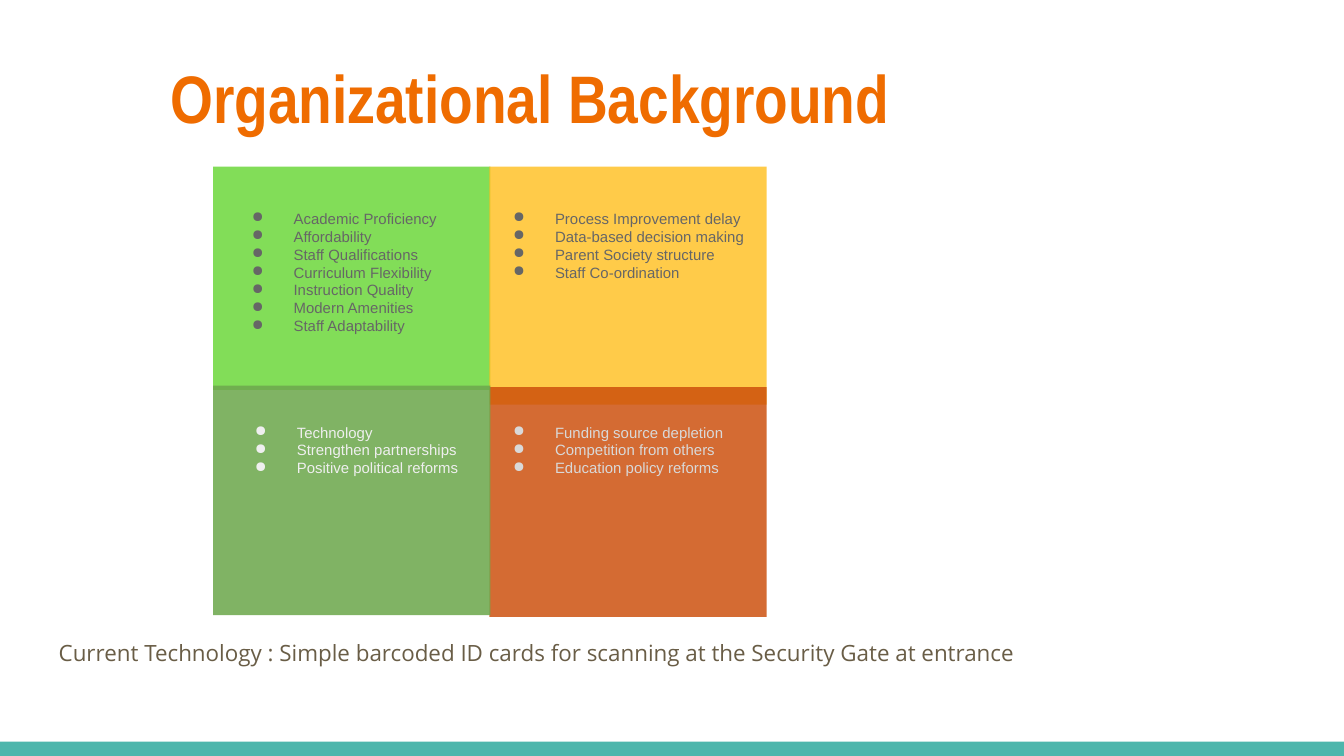
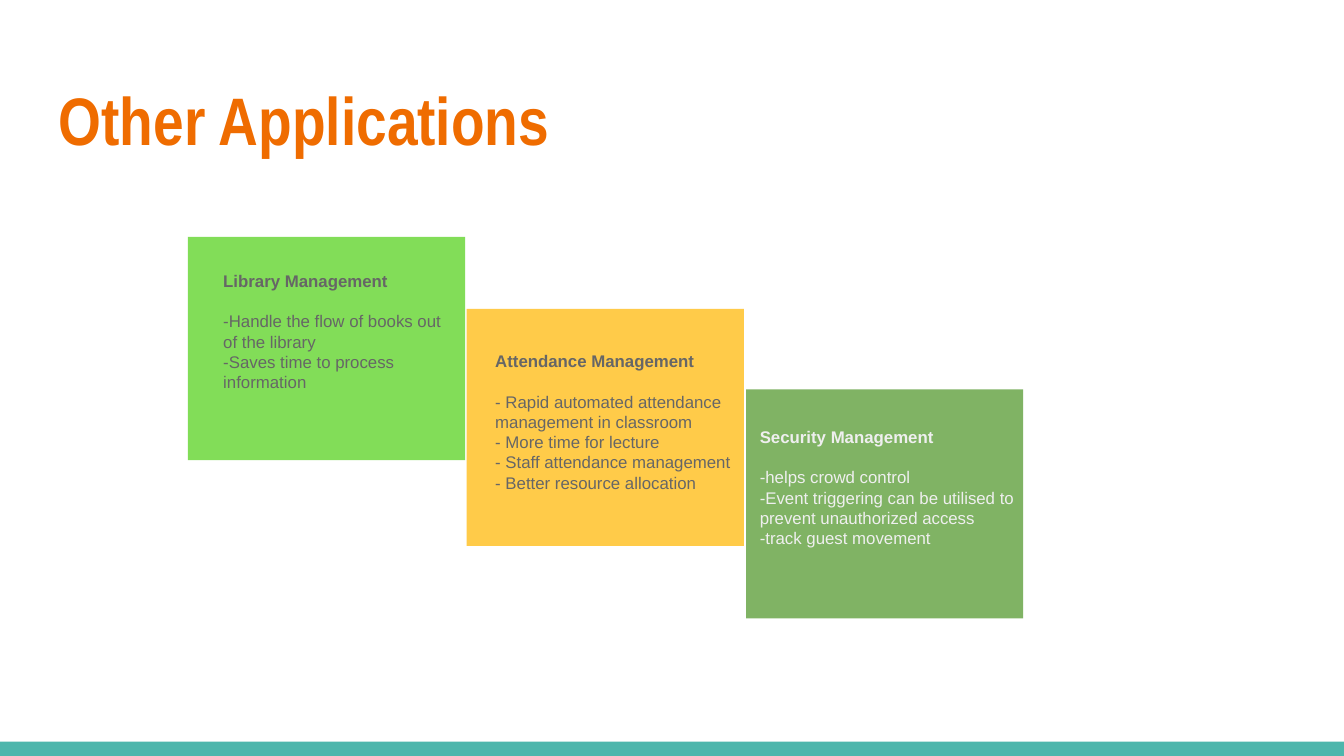
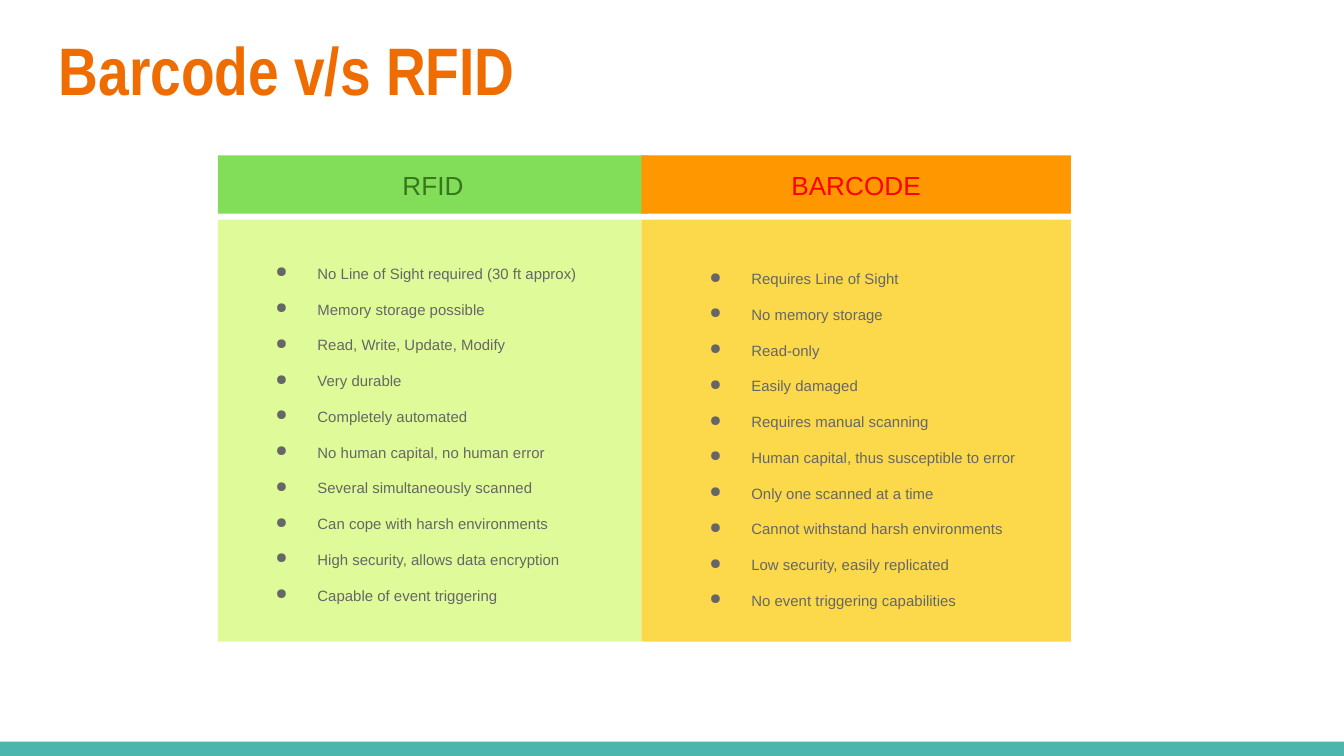
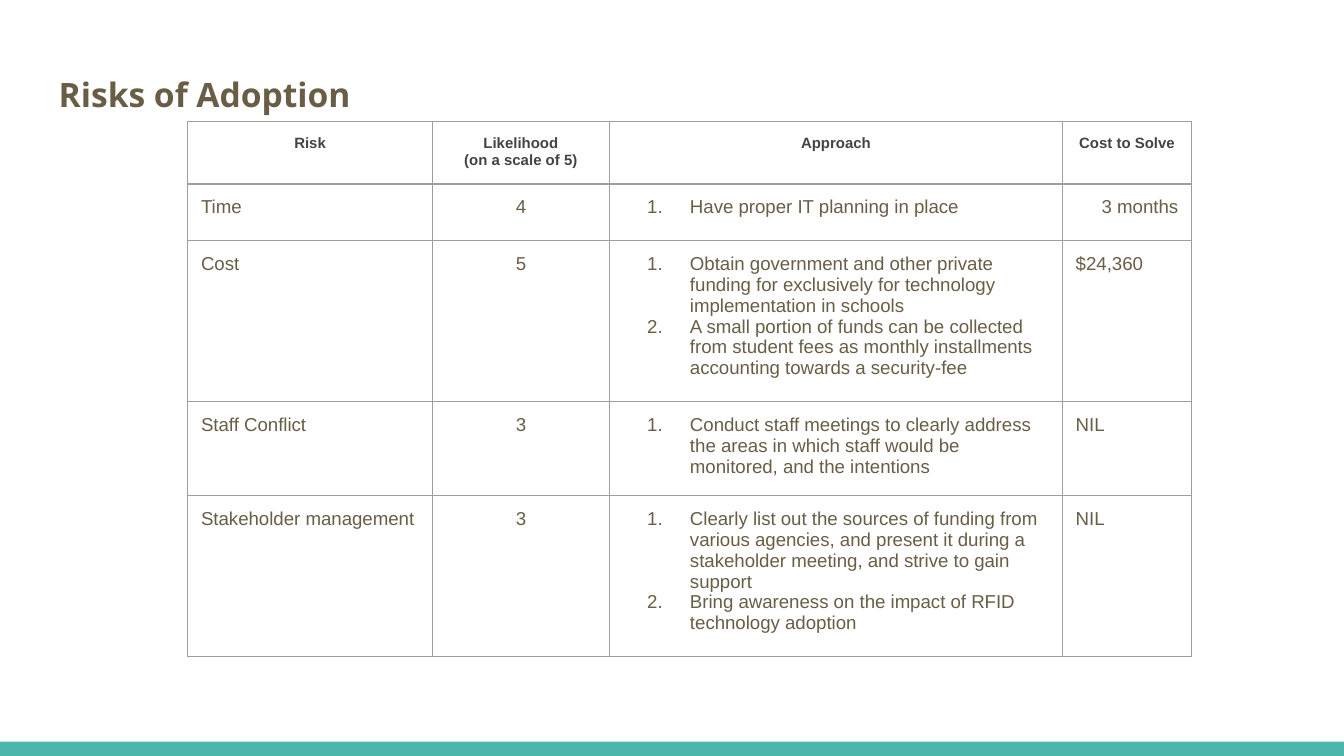
from lxml.etree import SubElement
from pptx import Presentation
from pptx.dml.color import RGBColor
from pptx.enum.shapes import MSO_SHAPE
from pptx.enum.text import MSO_ANCHOR, PP_ALIGN
from pptx.oxml.ns import qn
from pptx.util import Cm, Pt

HUES = {
    "teal": "4DB6AC", "title": "EF6C00", "brown": "695D46", "gray": "666666",
    "dark": "434343", "rule": "9E9E9E", "pale": "EFEFEF", "mist": "D9D9D9",
    "lime": "71D941", "gold": "FFBE1C", "rust": "CC4D0A", "moss": "6EA84E",
    "amber": "FF9800", "mint": "DFFA98", "corn": "FACA02",
    "pine": "38761D", "red": "FF0000",
}
ALPHA = {"lime": 88, "gold": 80, "rust": 83, "moss": 87, "corn": 71}
WIDE, HIGH = 25.4, 14.29
INSET = 0.25
LEFT, SPAN = 0.86, 23.67
SIDE = 5.24  # width of a coloured tile

# Tile: fill, (left, top, height); notes: (left, top, width), colour, lines
SWOT = [
    ("lime", (4.03, 3.15, 4.22), (4.03, 3.71, 4.8), "gray",
     ["Academic Proficiency", "Affordability", "Staff Qualifications",
      "Curriculum Flexibility", "Instruction Quality", "Modern Amenities",
      "Staff Adaptability"]),
    ("gold", (9.25, 3.15, 4.5), (8.97, 3.71, 5.61), "gray",
     ["Process Improvement delay", "Data-based decision making",
      "Parent Society structure", "Staff Co-ordination"]),
    ("rust", (9.25, 7.32, 4.34), (8.97, 7.75, 5.61), "mist",
     ["Funding source depletion", "Competition from others",
      "Education policy reforms"]),
    ("moss", (4.03, 7.29, 4.34), (4.09, 7.75, 5.61), "pale",
     ["Technology", "Strengthen partnerships", "Positive political reforms"]),
]
USES = [
    ("lime", (3.55, 4.48, 4.22), (3.97, 4.86, 4.8), "gray",
     ["Library Management", "-Handle the flow of books out of the library",
      "-Saves time to process information"]),
    ("gold", (8.82, 5.84, 4.48), (9.11, 6.38, 4.98), "gray",
     ["Attendance Management",
      "- Rapid automated attendance management in classroom",
      "- More time for lecture", "- Staff attendance management",
      "- Better resource allocation"]),
    ("moss", (14.1, 7.36, 4.33), (14.11, 7.81, 5.61), "pale",
     ["Security Management", "-helps crowd control",
      "-Event triggering can be utilised to prevent unauthorized access",
      "-track guest movement"]),
]
# Head: text, colour, fill, width; body: left, width, fill; list: left, top
SIDES = [
    ("RFID", "pine", "lime", 8.13, (4.12, 8.0, "mint"), (4.48, 4.41),
     ["No Line of Sight required (30 ft approx)", "Memory storage possible",
      "Read, Write, Update, Modify", "Very durable", "Completely automated",
      "No human capital, no human error", "Several simultaneously scanned",
      "Can cope with harsh environments",
      "High security, allows data encryption",
      "Capable of event triggering"]),
    ("BARCODE", "red", "amber", 8.12, (12.12, 8.12, "corn"), (12.68, 4.51),
     ["Requires Line of Sight", "No memory storage", "Read-only",
      "Easily damaged", "Requires manual scanning",
      "Human capital, thus susceptible to error",
      "Only one scanned at a time", "Cannot withstand harsh environments",
      "Low security, easily replicated", "No event triggering capabilities"]),
]
COLS = [4.62, 3.35, 8.56, 2.44]
HEADS = [["Risk"], ["Likelihood", "(on a scale of 5)"], ["Approach"],
         ["Cost to Solve"]]
RISKS = [
    ("Time", "4", ["Have proper IT planning in place"], "3 months"),
    ("Cost", "5",
     ["Obtain government and other private funding for exclusively for "
      "technology implementation in schools",
      "A small portion of funds can be collected from student fees as "
      "monthly installments accounting towards a security-fee"], "$24,360"),
    ("Staff Conflict", "3",
     ["Conduct staff meetings to clearly address the areas in which staff "
      "would be monitored, and the intentions"], "NIL"),
    ("Stakeholder management", "3",
     ["Clearly list out the sources of funding from various agencies, and "
      "present it during a stakeholder meeting, and strive to gain support",
      "Bring awareness on the impact of RFID technology adoption"], "NIL"),
]


def rgb(hue):
    return RGBColor.from_string(HUES[hue])


def indent(para, left, first):
    props = para._p.get_or_add_pPr()
    props.set("marL", str(Cm(left)))
    props.set("indent", str(Cm(first)))
    return props


def mark(para, hue, number):
    """Give a paragraph a round bullet or an automatic number."""
    props = indent(para, 1.27, -0.81 if number else -0.79)
    tint = SubElement(props, qn("a:buClr"))
    SubElement(tint, qn("a:srgbClr"), val=HUES[hue])
    if number:
        SubElement(props, qn("a:buAutoNum"), type="arabicPeriod")
    else:
        SubElement(props, qn("a:buChar"), char="●")


def write(frame, lines, size, hue, font="Arial", bold=False, align=None,
          space=None, list_as=None):
    frame.word_wrap = True
    for i, line in enumerate(lines):
        para = frame.paragraphs[0] if i == 0 else frame.add_paragraph()
        para.text = line
        para.alignment = align
        para.line_spacing = space
        para.font.size, para.font.name = Pt(size), font
        para.font.bold, para.font.color.rgb = bold, rgb(hue)
        if list_as:
            mark(para, hue, list_as == "number")


def pad(area):
    area.margin_left = area.margin_right = Cm(INSET)
    area.margin_top = area.margin_bottom = Cm(INSET)


def rect(slide, left, top, wide, high, hue):
    shape = slide.shapes.add_shape(
        MSO_SHAPE.RECTANGLE, Cm(left), Cm(top), Cm(wide), Cm(high))
    shape.shadow.inherit = False
    shape.line.fill.background()
    shape.fill.solid()
    shape.fill.fore_color.rgb = rgb(hue)
    if hue in ALPHA:
        tint = shape._element.spPr.find(".//" + qn("a:srgbClr"))
        SubElement(tint, qn("a:alpha"), val=str(ALPHA[hue] * 1000))
    return shape


def label(slide, left, top, wide, high, lines, size, hue, **style):
    box = slide.shapes.add_textbox(Cm(left), Cm(top), Cm(wide), Cm(high))
    pad(box.text_frame)
    write(box.text_frame, lines, size, hue, **style)
    return box.text_frame


def page(deck, title=None, left=LEFT, top=0):
    slide = deck.slides.add_slide(deck.slide_layouts[6])
    rect(slide, 0, 14.02, WIDE, HIGH - 14.02, "teal")
    if title:
        label(slide, left, top, SPAN, 1.96, [title], 36, "title",
              font="Arial Narrow", bold=True)
    return slide


def tiles(slide, items, size, **style):
    """Draw all coloured tiles, then the notes over them."""
    for fill, (left, top, high), *_ in items:
        rect(slide, left, top, SIDE, high, fill)
    return [label(slide, *place, 3.43, lines, size, hue, **style)
            for _, _, place, hue, lines in items]


def swot(deck):
    slide = page(deck, "Organizational Background", 2.97, 0.81)
    label(slide, LEFT, 11.76, SPAN, 1.07,
          ["Current Technology : Simple barcoded ID cards for scanning at "
           "the Security Gate at entrance"],
          12, "brown", font="Open Sans", space=1.15)
    tiles(slide, SWOT, 8, list_as="bullet")


def uses(deck):
    slide = page(deck, "Other Applications", top=1.24)
    for frame in tiles(slide, USES, 9):
        head = frame.paragraphs[0]
        head.font.bold = True
        head.space_after = Pt(11)


def versus(deck):
    slide = page(deck, "Barcode v/s RFID", top=0.28)
    for name, ink, fill, wide, (left, span, back), spot, lines in SIDES:
        head = rect(slide, left, 2.94, wide, 1.1, fill)
        pad(head.text_frame)
        head.text_frame.vertical_anchor = MSO_ANCHOR.MIDDLE
        write(head.text_frame, [name], 14, ink, align=PP_ALIGN.CENTER)
        rect(slide, left, 4.15, span, 7.98, back)
        label(slide, *spot, 7.04, 6.63, lines, 8, "gray", space=2.0,
              list_as="bullet")


def frame_cell(cell):
    pad(cell)
    props = cell._tc.get_or_add_tcPr()
    for side in ("lnL", "lnR", "lnT", "lnB"):
        line = SubElement(props, qn("a:" + side), w=str(Pt(0.75)))
        fill = SubElement(line, qn("a:solidFill"))
        SubElement(fill, qn("a:srgbClr"), val=HUES["rule"])
    cell.fill.background()


def risks(deck):
    slide = page(deck)
    label(slide, LEFT, 1.04, SPAN, 0.99, ["Risks of Adoption"], 18, "brown",
          font="Open Sans", bold=True, space=1.15)
    count, high = len(RISKS) + 1, 1.07
    grid = slide.shapes.add_table(
        count, len(COLS), Cm(3.55), Cm(2.3), Cm(sum(COLS)),
        Cm(count * high)).table
    grid.first_row = grid.horz_banding = False
    for col, wide in zip(grid.columns, COLS):
        col.width = Cm(wide)
    for cell in grid.iter_cells():
        frame_cell(cell)
    for c, lines in enumerate(HEADS):
        write(grid.cell(0, c).text_frame, lines, 8, "dark", bold=True,
              align=PP_ALIGN.CENTER)
    for r, (risk, odds, steps, cost) in enumerate(RISKS, 1):
        cells = [grid.cell(r, c).text_frame for c in range(len(COLS))]
        write(cells[0], [risk], 10, "brown")
        write(cells[1], [odds], 10, "brown", align=PP_ALIGN.CENTER)
        write(cells[2], steps, 10, "brown", list_as="number")
        write(cells[3], [cost], 10, "brown")
    indent(grid.cell(1, 3).text_frame.paragraphs[0], 0, 0.49)


def main():
    deck = Presentation()
    deck.slide_width, deck.slide_height = Cm(WIDE), Cm(HIGH)
    for build in (swot, uses, versus, risks):
        build(deck)
    deck.save("out.pptx")


if __name__ == "__main__":
    main()
